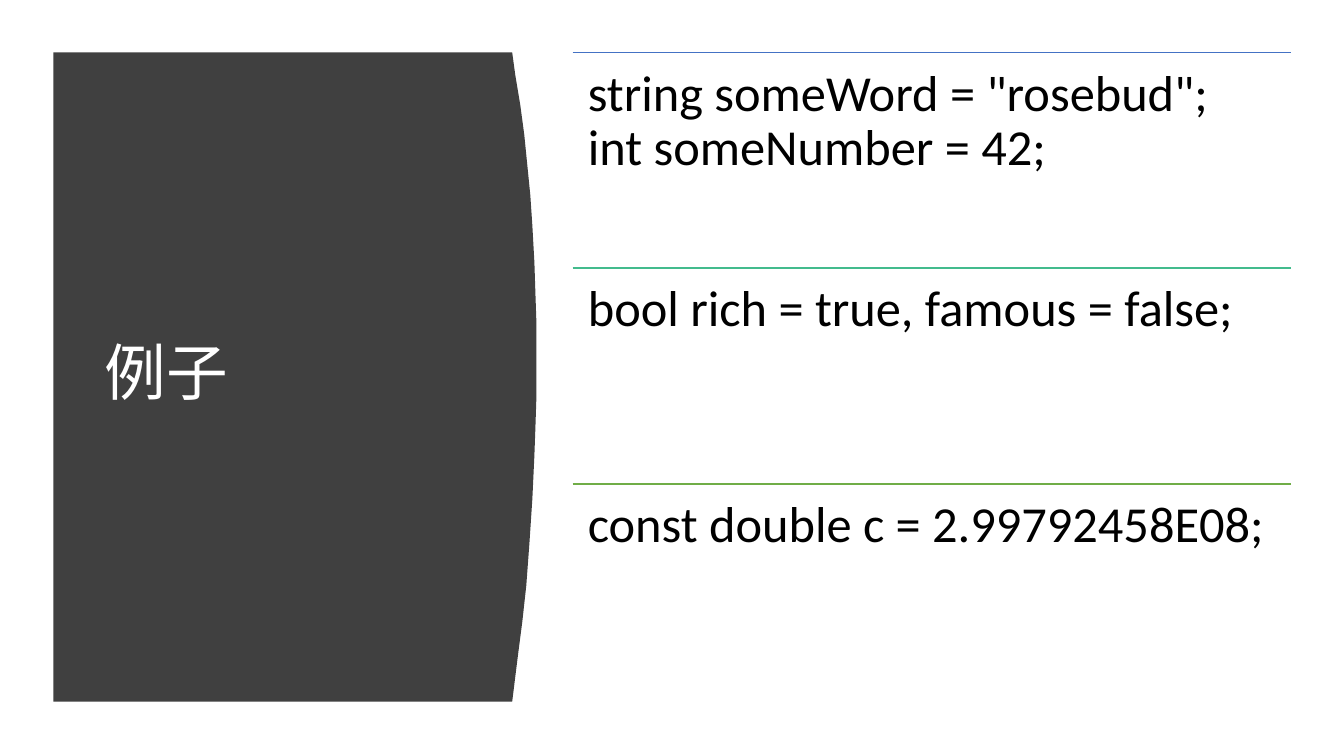
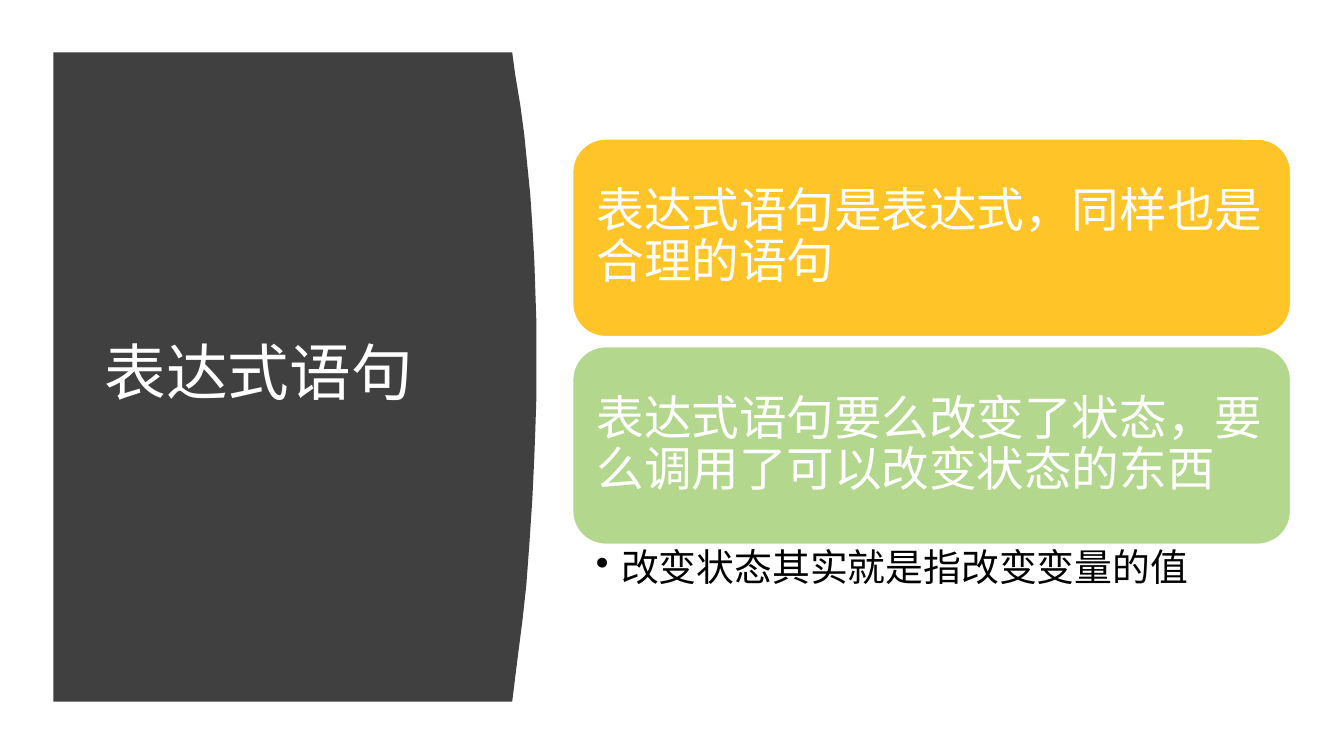
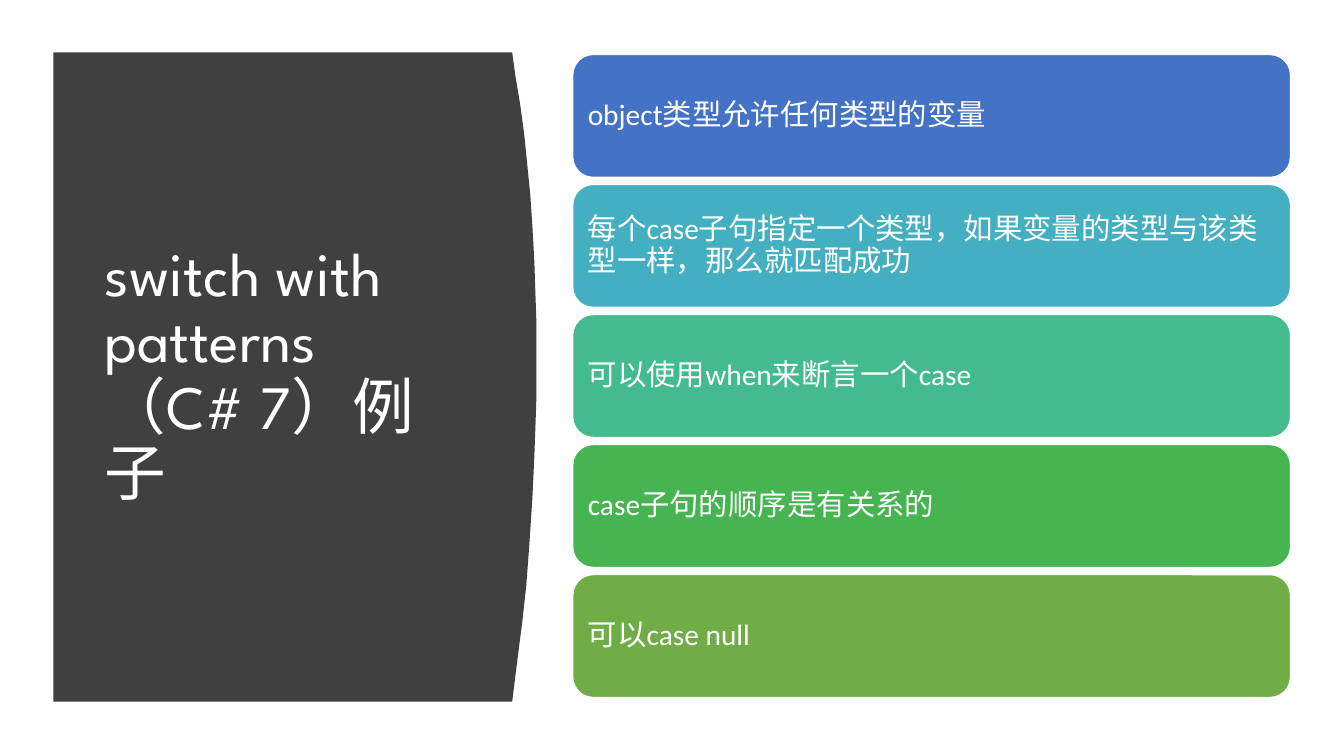
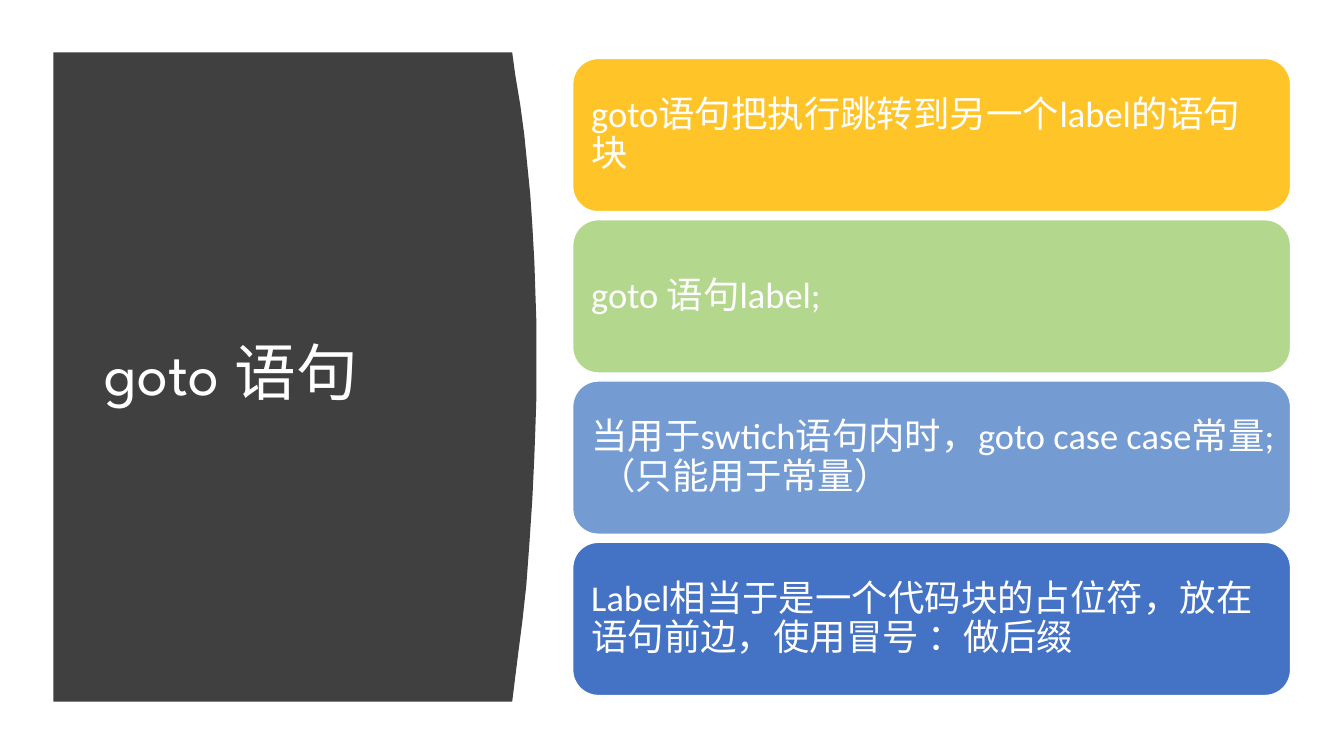
import pptx
import pptx.util
import pptx.dml.color
import pptx.enum.lang
import pptx.enum.shapes
import pptx.enum.text
from dataclasses import dataclass
from lxml import etree
from pptx.util import Inches


@dataclass(frozen=True)
class Theme:
    head: str = "League Spartan"
    body: str = "Calibri"
    dark: str = "404040"
    white: str = "FFFFFF"
    black: str = "000000"
    blue: str = "4472C4"
    sky: str = "749CD3"
    aqua: str = "43AFC0"
    teal: str = "43BB8D"
    green: str = "45B451"
    olive: str = "70AD47"
    lime: str = "B4D78E"
    gold: str = "FFC427"
    title: int = 44
    code: int = 36
    large: int = 34
    note: int = 27
    mid: int = 26
    small: int = 21


LEFT, WIDE = 5.68, 7.12
TOP, END = 0.52, 6.96
CURVE = [
    (5.08, TOP), (5.11, 0.74), (5.16, 1.04), (5.2, 1.34), (5.23, 1.64),
    (5.26, 1.94), (5.28, 2.24), (5.3, 2.6), (5.31, 2.9), (5.32, 3.2),
    (5.32, 3.94), (5.31, 4.25), (5.3, 4.52), (5.28, 4.95), (5.25, 5.4),
    (5.22, 5.81), (5.18, 6.17), (5.14, 6.48), (5.11, 6.72), (5.08, END),
]


def color(code):
    return pptx.dml.color.RGBColor.from_string(code)


class Deck:
    def __init__(self, theme):
        self.theme = theme
        self.show = pptx.Presentation()
        self.show.slide_width = Inches(13.33)
        self.show.slide_height = Inches(7.5)

    def page(self, title):
        self.slide = self.show.slides.add_slide(self.show.slide_layouts[6])
        self.panel()
        box = self.box(0.94, 1.11, 3.74, 5.24)
        self.label(box, [title], self.theme.title, self.theme.white,
                   face=self.theme.head, middle=True)

    def panel(self):
        side = [(Inches(x), Inches(y)) for x, y in CURVE]
        left = Inches(0.53)
        form = self.slide.shapes.build_freeform(left, Inches(TOP), scale=1.0)
        form.add_line_segments(side + [(left, Inches(END))], close=True)
        shape = form.convert_to_shape()
        shape.shadow.inherit = False
        shape.fill.solid()
        shape.fill.fore_color.rgb = color(self.theme.dark)
        shape.line.fill.background()

    def box(self, x, y, w, h):
        return self.slide.shapes.add_textbox(
            Inches(x), Inches(y), Inches(w), Inches(h))

    def label(self, shape, lines, size, ink, face=None, pad=None,
              middle=False, bullet=False):
        anchor = pptx.enum.text.MSO_ANCHOR
        frame = shape.text_frame
        frame.word_wrap = True
        frame.vertical_anchor = anchor.MIDDLE if middle else anchor.TOP
        if pad:
            (frame.margin_left, frame.margin_top,
             frame.margin_right, frame.margin_bottom) = map(Inches, pad)
        frame.text = "\n".join(lines)
        for para in frame.paragraphs:
            if bullet:
                self.bullet(para)
            para.alignment = pptx.enum.text.PP_ALIGN.LEFT
            para.line_spacing = 0.9
            for run in para.runs:
                font = run.font
                font.name = face or self.theme.body
                font.size = pptx.util.Pt(size)
                font.color.rgb = color(ink)
                font.language_id = (
                    pptx.enum.lang.MSO_LANGUAGE_ID.SIMPLIFIED_CHINESE)

    def bullet(self, para):
        props = para._p.get_or_add_pPr()
        props.set("marL", str(Inches(0.25)))
        props.set("indent", str(-Inches(0.25)))
        mark = etree.SubElement(props, pptx.oxml.ns.qn("a:buChar"))
        mark.set("char", "•")

    def rule(self, y, tint):
        line = self.slide.shapes.add_connector(
            pptx.enum.shapes.MSO_CONNECTOR.STRAIGHT,
            Inches(LEFT), Inches(y), Inches(LEFT + WIDE), Inches(y))
        line.line.color.rgb = color(tint)
        line.line.width = pptx.util.Pt(1)
        etree.SubElement(line._element.spPr, pptx.oxml.ns.qn("a:effectLst"))

    def codes(self, rows):
        step = 2.14
        for i, (tint, lines) in enumerate(rows):
            y = TOP + i * step
            self.rule(y, tint)
            self.label(self.box(LEFT, y, WIDE, step), lines,
                       self.theme.code, self.theme.black, pad=[0.15] * 4)

    def card(self, y, high, tint, text, size, pad):
        shape = self.slide.shapes.add_shape(
            pptx.enum.shapes.MSO_SHAPE.ROUNDED_RECTANGLE,
            Inches(LEFT), Inches(y), Inches(WIDE), Inches(high))
        shape.shadow.inherit = False
        shape.fill.solid()
        shape.fill.fore_color.rgb = color(tint)
        shape.line.color.rgb = color(self.theme.white)
        shape.line.width = pptx.util.Pt(1)
        self.label(shape, [text], size, self.theme.white,
                   pad=[pad] * 4, middle=True)

    def stack(self, top, high, gap, size, pad, rows):
        for i, (tint, text) in enumerate(rows):
            self.card(top + i * (high + gap), high, tint, text, size, pad)

    def note(self, y, text):
        self.label(self.box(LEFT, y, WIDE, 0.69), [text], self.theme.note,
                   self.theme.black, pad=(0.23, 0.05, 0.26, 0.05),
                   bullet=True)


def main():
    look = Theme()
    deck = Deck(look)

    deck.page("例子")
    deck.codes([
        (look.blue, ['string someWord = "rosebud";',
                     "int someNumber = 42;"]),
        (look.teal, ["bool rich = true, famous = false;"]),
        (look.olive, ["const double c = 2.99792458E08;"]),
    ])

    deck.page("表达式语句")
    deck.stack(1.38, 1.96, 0.1, look.large, 0.14, [
        (look.gold, "表达式语句是表达式，同样也是合理的语句"),
        (look.lime, "表达式语句要么改变了状态，要么调用了可以改变状态的东西"),
    ])
    deck.note(5.4, "改变状态其实就是指改变变量的值")

    deck.page("switch with patterns （C# 7）例子")
    deck.stack(0.54, 1.22, 0.07, look.small, 0.09, [
        (look.blue, "object类型允许任何类型的变量"),
        (look.aqua, "每个case子句指定一个类型，如果变量的类型与该类型一样，那么就匹配成功"),
        (look.teal, "可以使用when来断言一个case"),
        (look.green, "case子句的顺序是有关系的"),
        (look.olive, "可以case null"),
    ])

    deck.page("goto 语句")
    deck.stack(0.58, 1.52, 0.08, look.mid, 0.11, [
        (look.gold, "goto语句把执行跳转到另一个label的语句块"),
        (look.lime, "goto 语句label;"),
        (look.sky, "当用于swtich语句内时，goto case case常量; （只能用于常量）"),
        (look.blue, "Label相当于是一个代码块的占位符，放在语句前边，使用冒号 ：做后缀"),
    ])

    deck.show.save("out.pptx")


if __name__ == "__main__":
    main()
